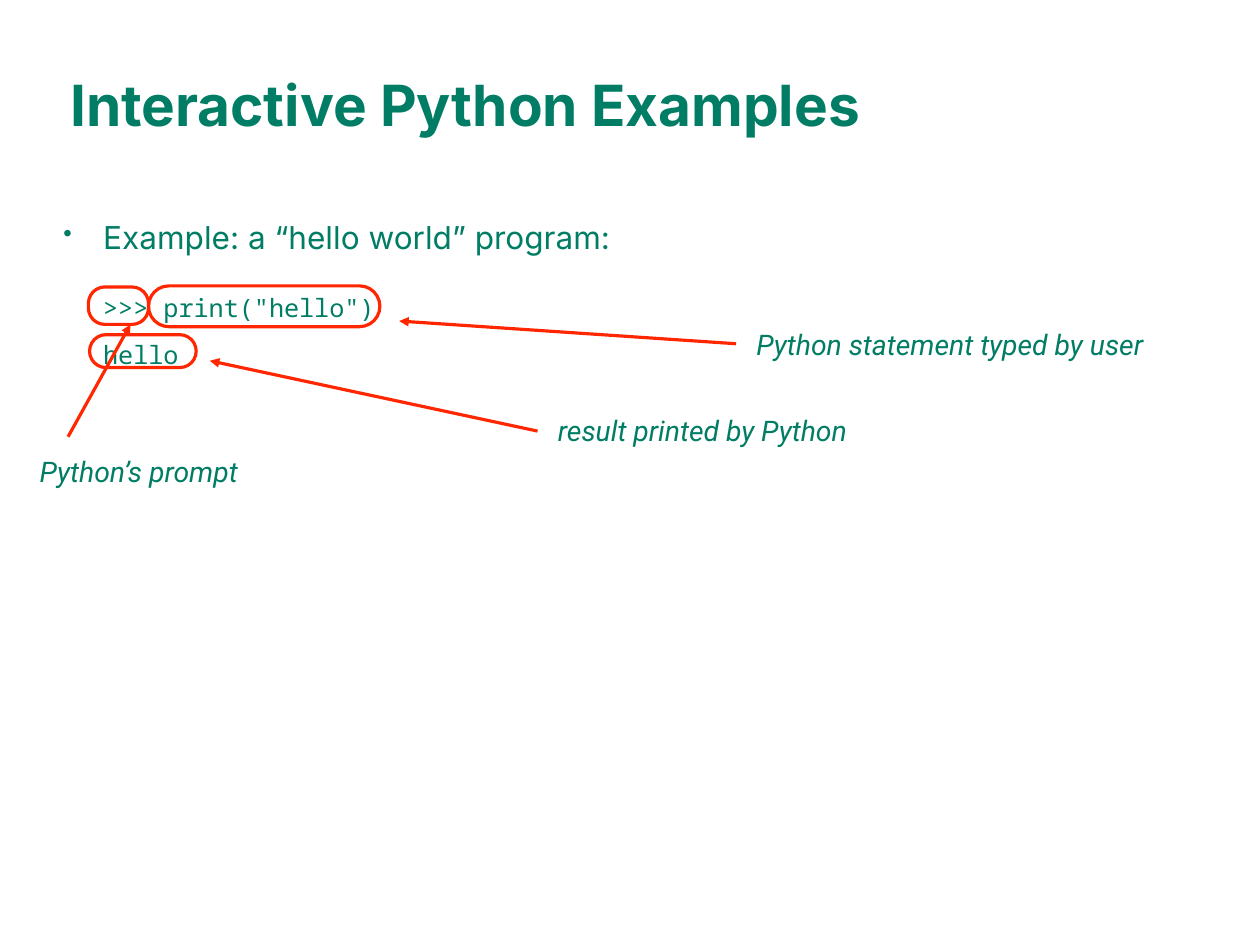
"""Build the slide that annotates an interactive Python session."""
from lxml import etree
from pptx import Presentation
from pptx import util as u
from pptx.dml.color import RGBColor
from pptx.enum import shapes, text
from pptx.oxml.ns import qn

COLORS = {"text": "007D64", "mark": "FF2600"}
TITLE = "Interactive Python Examples"
BODY = [
    {"text": "Example: a “hello world” program:", "font": "Inter", "size": 20,
     "before": 0, "margin": 0.35, "indent": -0.35, "bullet": "•"},
    {"text": '>>> print("hello")', "font": "Noto Sans Mono", "size": 16,
     "before": 23, "margin": 0, "indent": 0.35},
    {"text": "hello", "font": "Noto Sans Mono", "size": 16,
     "before": 11, "margin": 0, "indent": 0.35},
]
CALLOUTS = [
    {"label": "Python’s prompt", "label_at": (0.29, 3.95, 1.96, 0.41),
     "ring_at": (0.78, 2.53, 0.53, 0.33), "roundness": 0.44,
     "arrow": (0.6, 3.85, 1.15, 2.86)},
    {"label": "Python statement typed by user", "label_at": (6.61, 2.83, 3.67, 0.41),
     "ring_at": (1.31, 2.52, 2.04, 0.36), "roundness": 0.5,
     "arrow": (6.49, 3.03, 3.52, 2.83)},
    {"label": "result printed by Python", "label_at": (4.86, 3.59, 2.78, 0.41),
     "ring_at": (0.79, 2.95, 0.94, 0.29), "roundness": 0.5,
     "arrow": (4.74, 3.8, 1.85, 3.18)},
]


def inches(values):
    return [u.Inches(value) for value in values]


def add_box(place, inset, anchor, wrap=True):
    frame = slide.shapes.add_textbox(*inches(place)).text_frame
    frame.margin_left = frame.margin_right = u.Inches(inset)
    frame.margin_top = frame.margin_bottom = u.Inches(inset)
    frame.vertical_anchor = anchor
    frame.word_wrap = wrap
    return frame


def write(para, words, font, size, bold=False, italic=False):
    para.text = words
    para.font.name, para.font.size = font, u.Pt(size)
    para.font.bold, para.font.italic = bold, italic
    para.font.color.rgb = RGBColor.from_string(COLORS["text"])


def set_indent(para, margin, indent, bullet=None):
    props = para._p.get_or_add_pPr()
    props.set("marL", str(u.Inches(margin)))
    props.set("indent", str(u.Inches(indent)))
    if bullet:
        mark = etree.Element(qn("a:buChar"), char=bullet)
        size = etree.Element(qn("a:buSzPct"), val="80000")
        props.find(qn("a:defRPr")).addprevious(size)
        size.addnext(mark)


def style_line(line):
    line.color.rgb = RGBColor.from_string(COLORS["mark"])
    line.width = u.Pt(2)


def add_callout(label, label_at, ring_at, roundness, arrow):
    frame = add_box(label_at, 0.06, text.MSO_ANCHOR.MIDDLE, wrap=False)
    frame.auto_size = text.MSO_AUTO_SIZE.SHAPE_TO_FIT_TEXT
    write(frame.paragraphs[0], label, "Roboto", 18, italic=True)

    ring = slide.shapes.add_shape(shapes.MSO_SHAPE.ROUNDED_RECTANGLE, *inches(ring_at))
    ring.adjustments[0] = roundness
    ring.shadow.inherit = False
    ring.fill.background()
    style_line(ring.line)

    pointer = slide.shapes.add_connector(shapes.MSO_CONNECTOR.STRAIGHT, *inches(arrow))
    style_line(pointer.line)
    etree.SubElement(pointer.line._get_or_add_ln(), qn("a:tailEnd"), type="triangle")
    etree.SubElement(pointer._element.spPr, qn("a:effectLst"))


deck = Presentation()
deck.slide_width, deck.slide_height = inches((11.11, 8.33))
slide = deck.slides.add_slide(deck.slide_layouts[6])

title = add_box((0.56, 0.22, 9.72, 1.39), 0.06, text.MSO_ANCHOR.MIDDLE)
write(title.paragraphs[0], TITLE, "Inter", 36, bold=True)

body = add_box((0.56, 1.92, 9.72, 5.82), 0, text.MSO_ANCHOR.TOP)
for index, item in enumerate(BODY):
    para = body.add_paragraph() if index else body.paragraphs[0]
    write(para, item["text"], item["font"], item["size"])
    para.space_before = u.Pt(item["before"])
    set_indent(para, item["margin"], item["indent"], item.get("bullet"))

for callout in CALLOUTS:
    add_callout(**callout)

deck.save("out.pptx")
